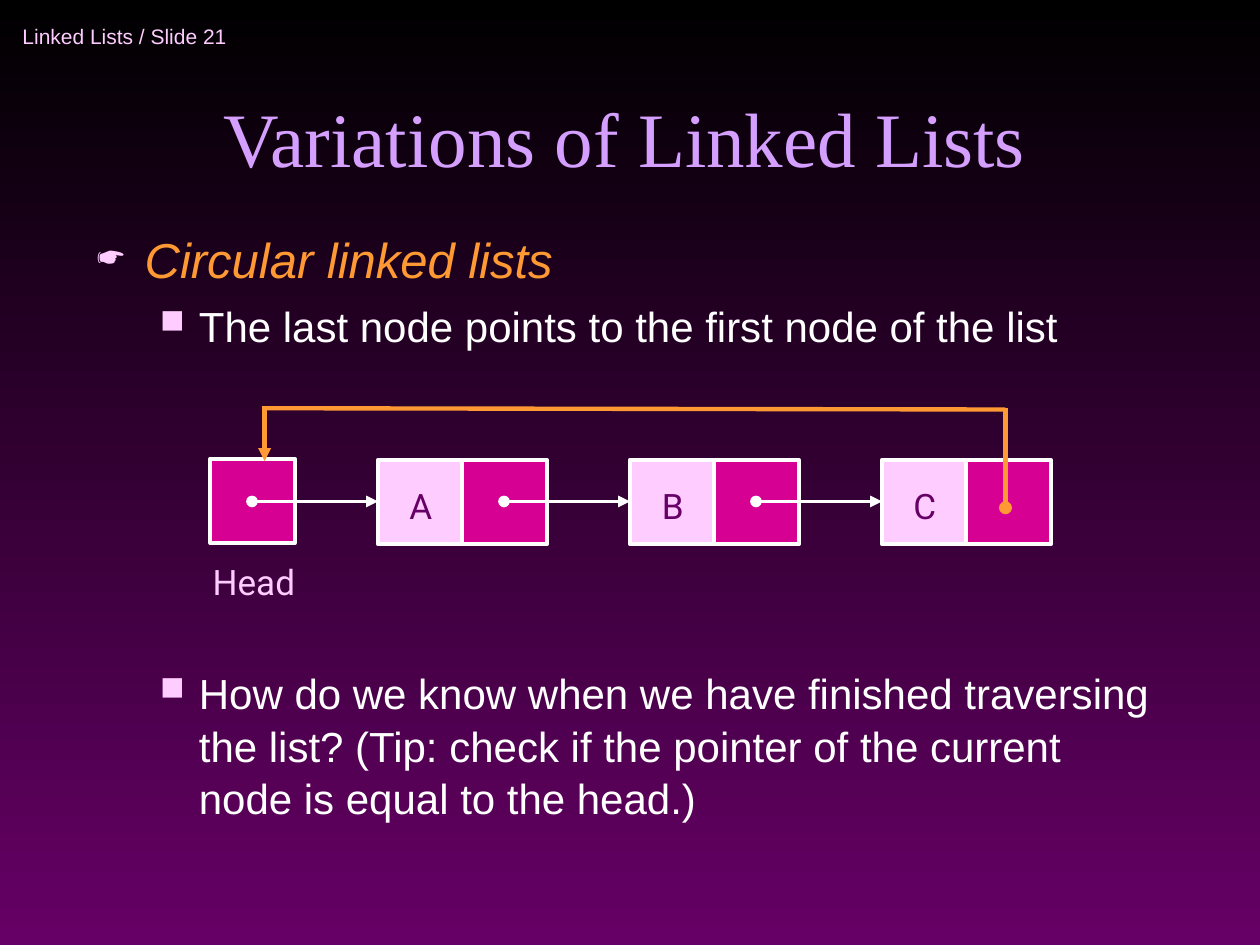
from dataclasses import dataclass

from lxml.etree import SubElement
from pptx import Presentation
from pptx.dml.color import RGBColor
from pptx.enum.shapes import MSO_CONNECTOR, MSO_SHAPE
from pptx.enum.text import MSO_ANCHOR, PP_ALIGN
from pptx.oxml.ns import qn
from pptx.slide import Slide
from pptx.text.text import TextFrame
from pptx.util import Inches, Pt

BLACK = RGBColor(0x00, 0x00, 0x00)
WHITE = RGBColor(0xFF, 0xFF, 0xFF)
PURPLE = RGBColor(0x66, 0x00, 0x66)
LAVENDER = RGBColor(0xD4, 0x9F, 0xFF)
PINK = RGBColor(0xFF, 0xCC, 0xFF)
MAGENTA = RGBColor(0xD6, 0x00, 0x93)
ORANGE = RGBColor(0xFF, 0x99, 0x33)

CELL = 0.67
NODE_TOP = 3.65
NODE_STEP = 2
FIRST_NODE_LEFT = 3
HEAD_LEFT = 1.67
POINTER_Y = 3.98
RETURN_Y = 3.24
RETURN_START_X = 7.98
RETURN_END_X = 2.1


@dataclass(frozen=True)
class Bullet:
    text: str
    symbol: str
    symbol_percent: int
    size: int
    color: RGBColor
    margin: float
    hanging: float
    space_before: int
    italic: bool = False


@dataclass(frozen=True)
class Arrow:
    start: tuple[float, float]
    end: tuple[float, float]
    color: RGBColor = WHITE
    width: float = 2.25
    head: str = "oval"
    tail: str = "triangle"


BULLETS = [
    Bullet("Circular linked lists", "☛", 75, 28, ORANGE, 0.38, 0.38, 7, True),
    Bullet("The last node points to the first node of the list",
           "■", 80, 24, WHITE, 0.81, 0.31, 6),
    Bullet("How do we know when we have finished traversing the list? "
           "(Tip: check if the pointer of the current node is equal to the head.)",
           "■", 80, 24, WHITE, 0.81, 0.31, 180),
]


def add_text(slide: Slide, text: str, left: float, top: float, width: float,
             height: float, *, size: int = 20, font: str = "Roboto",
             color: RGBColor = PINK, align: PP_ALIGN = PP_ALIGN.CENTER,
             anchor: MSO_ANCHOR = MSO_ANCHOR.TOP, wrap: bool = False) -> TextFrame:
    shape = slide.shapes.add_textbox(Inches(left), Inches(top), Inches(width), Inches(height))
    frame = shape.text_frame
    frame.word_wrap = wrap
    frame.vertical_anchor = anchor
    paragraph = frame.paragraphs[0]
    paragraph.alignment = align
    run = paragraph.add_run()
    run.text = text
    run.font.size = Pt(size)
    run.font.name = font
    run.font.color.rgb = color
    return frame


def format_bullet(frame: TextFrame, index: int, bullet: Bullet) -> None:
    paragraph = frame.paragraphs[0] if index == 0 else frame.add_paragraph()
    paragraph.space_before = Pt(bullet.space_before)
    paragraph.line_spacing = 1.04
    run = paragraph.runs[0] if paragraph.runs else paragraph.add_run()
    run.text = bullet.text
    run.font.name = "Arial"
    run.font.size = Pt(bullet.size)
    run.font.italic = bullet.italic
    run.font.color.rgb = bullet.color
    properties = paragraph._p.get_or_add_pPr()
    properties.set("marL", str(Inches(bullet.margin)))
    properties.set("indent", str(-Inches(bullet.hanging)))
    color = SubElement(properties, qn("a:buClr"))
    SubElement(color, qn("a:srgbClr"), val=str(PINK))
    SubElement(properties, qn("a:buSzPct"), val=str(bullet.symbol_percent * 1000))
    SubElement(properties, qn("a:buChar"), char=bullet.symbol)


def add_cell(slide: Slide, left: float, top: float, color: RGBColor) -> None:
    shape = slide.shapes.add_shape(MSO_SHAPE.RECTANGLE, Inches(left), Inches(top),
                                   Inches(CELL), Inches(CELL))
    shape.shadow.inherit = False
    shape.fill.solid()
    shape.fill.fore_color.rgb = color
    shape.line.color.rgb = WHITE
    shape.line.width = Pt(2.25)


def add_arrow(slide: Slide, arrow: Arrow) -> None:
    points = [Inches(value) for value in (*arrow.start, *arrow.end)]
    connector = slide.shapes.add_connector(MSO_CONNECTOR.STRAIGHT, *points)
    connector.line.color.rgb = arrow.color
    connector.line.width = Pt(arrow.width)
    line = connector.line._get_or_add_ln()
    SubElement(line, qn("a:headEnd"), type=arrow.head)
    SubElement(line, qn("a:tailEnd"), type=arrow.tail)
    SubElement(connector._element.spPr, qn("a:effectLst"))


def add_list_diagram(slide: Slide) -> None:
    add_cell(slide, HEAD_LEFT, NODE_TOP - 0.01, MAGENTA)
    add_text(slide, "Head", 1.57, 4.4, 0.89, 0.44)
    for index, letter in enumerate("ABC"):
        left = FIRST_NODE_LEFT + index * NODE_STEP
        add_cell(slide, left + CELL, NODE_TOP, MAGENTA)
        add_cell(slide, left, NODE_TOP, PINK)
        add_text(slide, letter, left + 0.15, 3.8, 0.38, 0.44, color=PURPLE)
        add_arrow(slide, Arrow((left - 1, POINTER_Y), (left, POINTER_Y)))
    for arrow in (
        Arrow((RETURN_START_X, 4.03), (RETURN_START_X, RETURN_Y), ORANGE, 2.5, tail="none"),
        Arrow((RETURN_START_X, RETURN_Y + 0.01), (RETURN_END_X - 0.02, RETURN_Y),
              ORANGE, 2.5, "none", "none"),
        Arrow((RETURN_END_X, RETURN_Y), (RETURN_END_X, 3.66), ORANGE, 2.5, "none"),
    ):
        add_arrow(slide, arrow)


def main() -> None:
    presentation = Presentation()
    presentation.slide_width = Inches(10)
    presentation.slide_height = Inches(7.5)
    slide = presentation.slides.add_slide(presentation.slide_layouts[6])
    background = slide.background.fill
    background.gradient()
    background.gradient_angle = 270
    for stop, color, position in zip(background.gradient_stops, (BLACK, PURPLE), (0, 1)):
        stop.color.rgb = color
        stop.position = position
    add_text(slide, "Linked Lists / Slide 21", 0.08, 0.08, 2.75, 0.42, size=12,
             font="Arial", align=PP_ALIGN.LEFT, anchor=MSO_ANCHOR.MIDDLE)
    add_text(slide, "Variations of Linked Lists", 0.67, 0.25, 8.58, 1.25, size=44,
             font="Times New Roman", color=LAVENDER, anchor=MSO_ANCHOR.BOTTOM, wrap=True)
    body = add_text(slide, BULLETS[0].text, 0.67, 1.75, 8.58, 4.92,
                    align=PP_ALIGN.LEFT, wrap=True)
    for index, bullet in enumerate(BULLETS):
        format_bullet(body, index, bullet)
    add_list_diagram(slide)
    presentation.save("out.pptx")


if __name__ == "__main__":
    main()
